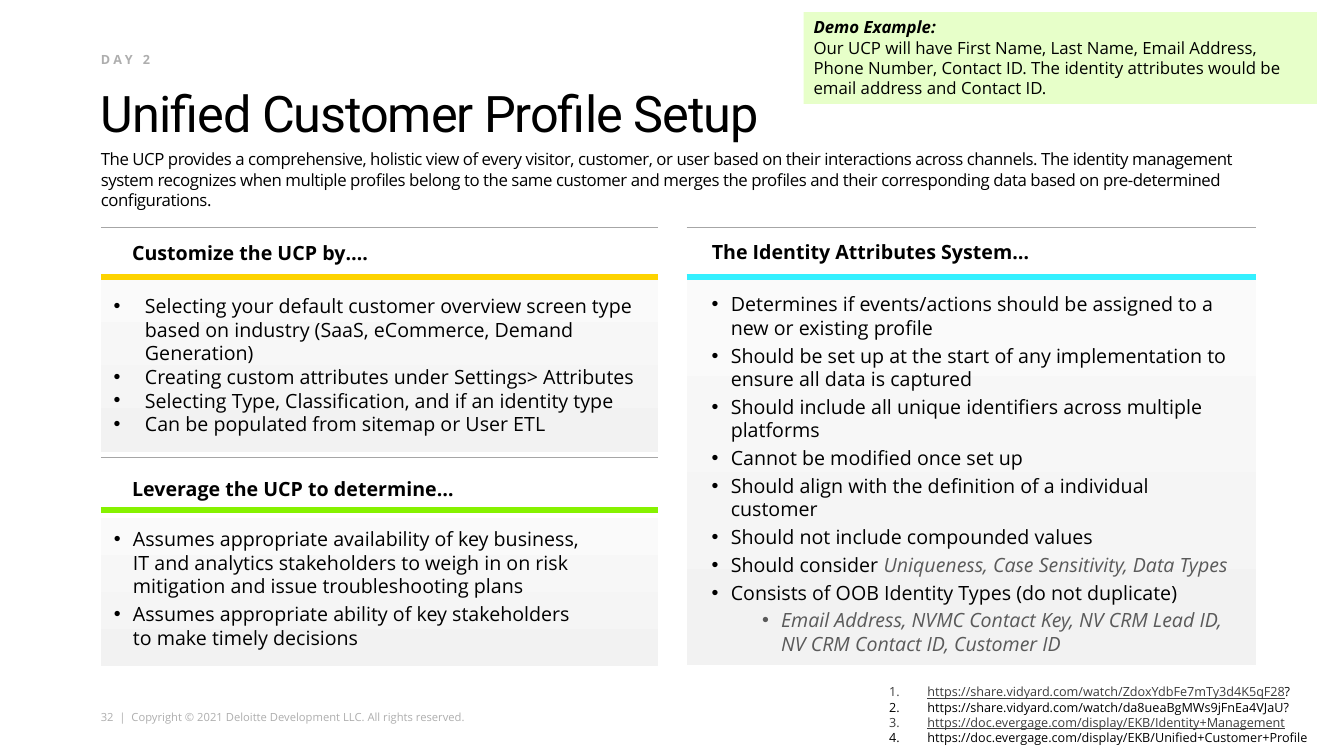
from dataclasses import dataclass

from lxml.etree import SubElement
from pptx import Presentation
from pptx.dml.color import RGBColor
from pptx.enum.shapes import MSO_CONNECTOR, MSO_SHAPE
from pptx.enum.text import MSO_ANCHOR, PP_ALIGN
from pptx.oxml.ns import qn
from pptx.slide import Slide
from pptx.text.text import TextFrame, _Paragraph
from pptx.util import Inches, Pt

BLACK = RGBColor(0x00, 0x00, 0x00)
LINK_GRAY = RGBColor(0x3C, 0x3C, 0x3C)
EXAMPLE_GRAY = RGBColor(0x5A, 0x5A, 0x5A)
MUTED_GRAY = RGBColor(0xAE, 0xAE, 0xAE)
RULE_GRAY = RGBColor(0xA6, 0xA6, 0xA6)
PANEL_TOP = RGBColor(0xFA, 0xFA, 0xFA)
PANEL_BOTTOM = RGBColor(0xF2, 0xF2, 0xF2)
NOTE_GREEN = RGBColor(0xE7, 0xFF, 0xC9)
YELLOW = RGBColor(0xFD, 0xD3, 0x00)
GREEN = RGBColor(0x86, 0xF2, 0x00)
CYAN = RGBColor(0x34, 0xF0, 0xFF)
BODY_FONT = "Open Sans"
TITLE_FONT = "Roboto"


@dataclass(frozen=True)
class Box:
    left: float
    top: float
    width: float
    height: float

    def emu(self) -> tuple[int, int, int, int]:
        return Inches(self.left), Inches(self.top), Inches(self.width), Inches(self.height)


@dataclass(frozen=True)
class Span:
    text: str
    size: float = 14
    color: RGBColor = BLACK
    bold: bool = False
    italic: bool = False
    underline: bool = False
    spacing: float = 0
    font: str = BODY_FONT


@dataclass(frozen=True)
class Item:
    spans: tuple[Span, ...]
    level: int = 0


@dataclass(frozen=True)
class Section:
    heading: str
    heading_box: Box
    accent: RGBColor
    rule_top: float
    accent_top: float
    panel: Box
    list_box: Box
    hanging: float
    space_after: float
    items: tuple[Item, ...]


def plain_items(*lines: str) -> tuple[Item, ...]:
    return tuple(Item((Span(line),)) for line in lines)


SECTIONS = (
    Section(
        "Customize the UCP by….", Box(1.31, 2.22, 3.8, 0.57), YELLOW, 2.26, 2.75,
        Box(1, 2.77, 5.53, 1.71), Box(1.03, 2.87, 5.66, 1.51), 0.31, 0,
        plain_items(
            "Selecting your default customer overview screen type based on industry "
            "(SaaS, eCommerce, Demand Generation)",
            "Creating custom attributes under Settings> Attributes",
            "Selecting Type, Classification, and if an identity type",
            "Can be populated from sitemap or User ETL",
        ),
    ),
    Section(
        "Leverage the UCP to determine…", Box(1.31, 4.56, 4.89, 0.57), GREEN, 4.54, 5.06,
        Box(1, 5.14, 5.53, 1.47), Box(1.03, 5.18, 4.95, 1.32), 0.19, 3,
        plain_items(
            "Assumes appropriate availability of key business, IT and analytics stakeholders "
            "to weigh in on risk mitigation and issue troubleshooting plans",
            "Assumes appropriate ability of key stakeholders to make timely decisions",
        ),
    ),
    Section(
        "The Identity Attributes System…", Box(7.06, 2.22, 4.57, 0.56), CYAN, 2.26, 2.75,
        Box(6.81, 2.77, 5.65, 3.83), Box(6.96, 2.85, 5.33, 3.74), 0.19, 3,
        plain_items(
            "Determines if events/actions should be assigned to a new or existing profile",
            "Should be set up at the start of any implementation to ensure all data is captured",
            "Should include all unique identifiers across multiple platforms",
            "Cannot be modified once set up",
            "Should align with the definition of a individual customer",
            "Should not include compounded values",
        ) + (
            Item((Span("Should consider "),
                  Span("Uniqueness, Case Sensitivity, Data Types", color=EXAMPLE_GRAY, italic=True))),
            Item((Span("Consists of OOB Identity Types (do not duplicate)"),)),
            Item((Span("Email Address, NVMC Contact Key, NV CRM Lead ID, NV CRM Contact ID, Customer ID",
                       color=EXAMPLE_GRAY, italic=True),), level=1),
        ),
    ),
)

REFERENCES = (
    Item((Span("https://share.vidyard.com/watch/ZdoxYdbFe7mTy3d4K5qF28", 9, LINK_GRAY, underline=True),
          Span("?", 9))),
    Item((Span("https://share.vidyard.com/watch/da8ueaBgMWs9jFnEa4VJaU?", 9),)),
    Item((Span("https://doc.evergage.com/display/EKB/Identity+Management", 9, LINK_GRAY, underline=True),)),
    Item((Span("https://doc.evergage.com/display/EKB/Unified+Customer+Profile", 9),)),
)


def add_spans(paragraph: _Paragraph, *spans: Span) -> None:
    paragraph.alignment = PP_ALIGN.LEFT
    for span in spans:
        run = paragraph.add_run()
        run.text = span.text
        font = run.font
        font.name, font.size = span.font, Pt(span.size)
        font.bold, font.italic, font.underline = span.bold, span.italic, span.underline
        font.color.rgb = span.color
        if span.spacing:
            run._r.get_or_add_rPr().set("spc", str(round(span.spacing * 100)))


def clear_margins(frame: TextFrame) -> None:
    frame.margin_left = frame.margin_top = frame.margin_right = frame.margin_bottom = 0


def add_label(slide: Slide, box: Box, span: Span,
              anchor: MSO_ANCHOR = MSO_ANCHOR.TOP, wrap: bool = True) -> None:
    frame = slide.shapes.add_textbox(*box.emu()).text_frame
    clear_margins(frame)
    frame.word_wrap = wrap
    frame.vertical_anchor = anchor
    add_spans(frame.paragraphs[0], span)


def add_list(slide: Slide, box: Box, items: tuple[Item, ...], hanging: float,
             space_after: float = 0, numbered: bool = False) -> None:
    frame = slide.shapes.add_textbox(*box.emu()).text_frame
    frame.word_wrap = True
    for index, item in enumerate(items):
        paragraph = frame.add_paragraph() if index else frame.paragraphs[0]
        paragraph.level = item.level
        paragraph.space_after = Pt(space_after)
        properties = paragraph._p.get_or_add_pPr()
        properties.set("marL", str(Inches(hanging + 0.5 * item.level)))
        properties.set("indent", str(-Inches(hanging)))
        if numbered:
            SubElement(properties, qn("a:buAutoNum"), type="arabicPeriod")
        else:
            SubElement(properties, qn("a:buFont"), typeface="Arial")
            SubElement(properties, qn("a:buChar"), char="•")
        add_spans(paragraph, *item.spans)


def add_rule(slide: Slide, left: float, top: float, width: float,
             color: RGBColor, weight: float) -> None:
    rule = slide.shapes.add_connector(MSO_CONNECTOR.STRAIGHT, Inches(left), Inches(top),
                                      Inches(left + width), Inches(top))
    rule.line.color.rgb = color
    rule.line.width = Pt(weight)
    SubElement(rule._element.spPr, qn("a:effectLst"))


def add_section(slide: Slide, section: Section) -> None:
    panel = slide.shapes.add_shape(MSO_SHAPE.RECTANGLE, *section.panel.emu())
    panel.shadow.inherit = False
    panel.line.fill.background()
    panel.fill.gradient()
    panel.fill.gradient_angle = 270
    for stop, position, color in zip(panel.fill.gradient_stops, (0, 1), (PANEL_TOP, PANEL_BOTTOM)):
        stop.position = position
        stop.color.rgb = color
    left, width = section.panel.left, section.panel.width
    add_rule(slide, left, section.accent_top, width, section.accent, 4)
    add_label(slide, section.heading_box, Span(section.heading, bold=True), MSO_ANCHOR.MIDDLE)
    add_rule(slide, left, section.rule_top, width, RULE_GRAY, 1)
    add_list(slide, section.list_box, section.items, section.hanging, section.space_after)


def add_title(slide: Slide) -> None:
    title = slide.shapes.title
    title.left, title.top, title.width, title.height = Box(1, 0.76, 11.33, 0.65).emu()
    frame = title.text_frame
    clear_margins(frame)
    frame.margin_top = Inches(0.05)
    frame.vertical_anchor = MSO_ANCHOR.BOTTOM
    frame.paragraphs[0].line_spacing = 0.8
    add_spans(frame.paragraphs[0],
              Span("Unified Customer Profile Setup", 36, spacing=-0.8, font=TITLE_FONT))


def add_demo_note(slide: Slide) -> None:
    note = slide.shapes.add_shape(MSO_SHAPE.RECTANGLE, *Box(7.97, 0.12, 5.09, 0.91).emu())
    note.shadow.inherit = False
    note.fill.solid()
    note.fill.fore_color.rgb = NOTE_GREEN
    note.line.fill.background()
    frame = note.text_frame
    frame.word_wrap = True
    frame.vertical_anchor = MSO_ANCHOR.TOP
    add_spans(frame.paragraphs[0], Span("Demo Example:", 12, bold=True, italic=True))
    add_spans(frame.add_paragraph(), Span(
        "Our UCP will have First Name, Last Name, Email Address, Phone Number, Contact ID. "
        "The identity attributes would be email address and Contact ID.", 12))


def main() -> None:
    deck = Presentation()
    deck.slide_width, deck.slide_height = Inches(13.33), Inches(7.5)
    slide = deck.slides.add_slide(deck.slide_layouts.get_by_name("Title Only"))
    add_title(slide)
    add_label(slide, Box(1, 7.05, 3.66, 0.13), Span(
        "32  |  Copyright © 2021 Deloitte Development LLC. All rights reserved.", 8, MUTED_GRAY), wrap=False)
    add_label(slide, Box(1, 1.48, 11.33, 0.52), Span(
        "The UCP provides a comprehensive, holistic view of every visitor, customer, or user based on "
        "their interactions across channels. The identity management system recognizes when multiple "
        "profiles belong to the same customer and merges the profiles and their corresponding data "
        "based on pre-determined configurations.", 12, spacing=-0.3))
    add_label(slide, Box(1, 0.51, 3.67, 0.22), Span("DAY 2", 9, MUTED_GRAY, bold=True, spacing=2.5))
    add_list(slide, Box(8.72, 6.74, 4.59, 0.71), REFERENCES, 0.38, numbered=True)
    add_demo_note(slide)
    for section in SECTIONS:
        add_section(slide, section)
    deck.save("out.pptx")


if __name__ == "__main__":
    main()
